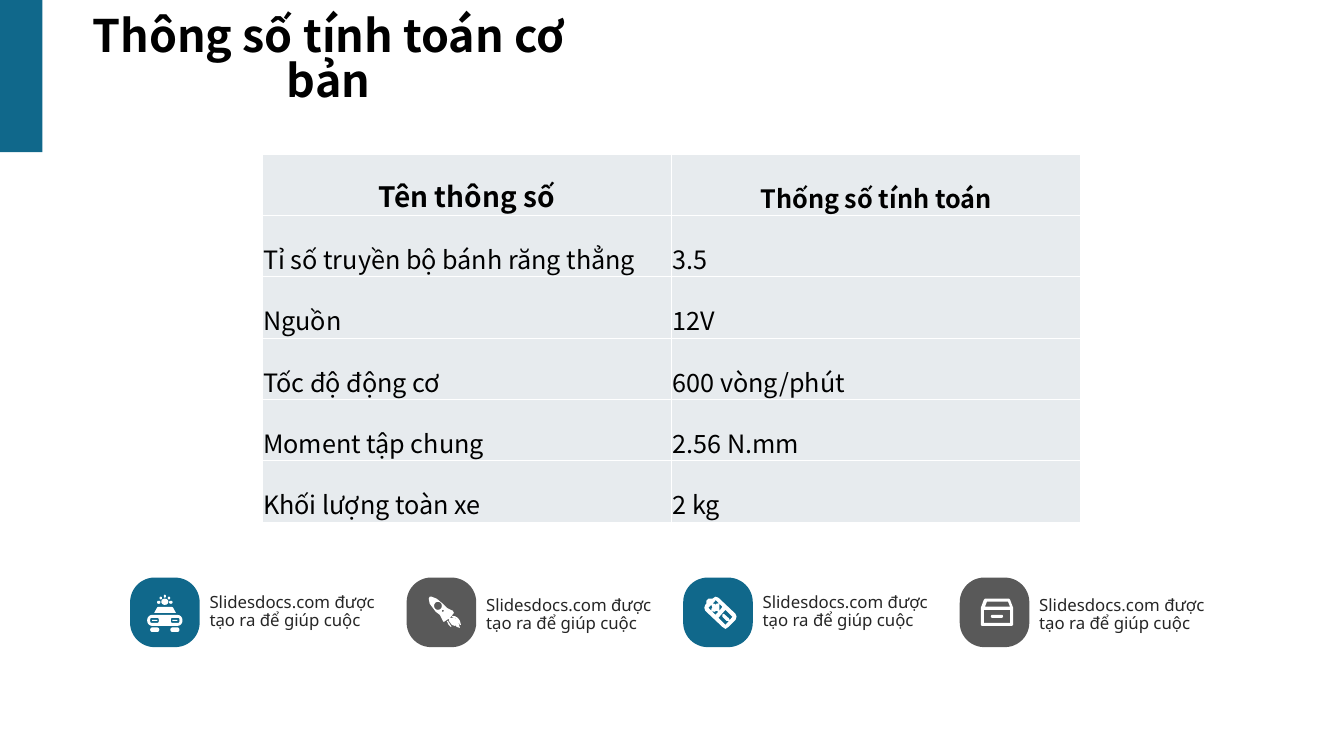
import math
from lxml import etree
from pptx import Presentation
from pptx import util as u
from pptx.dml.color import RGBColor
from pptx.enum import shapes, text
from pptx.oxml import ns

TEAL = RGBColor(0x10, 0x68, 0x8B)
GREY = RGBColor(0x59, 0x59, 0x59)
WHITE = RGBColor(0xFF, 0xFF, 0xFF)
BLACK = RGBColor(0, 0, 0)
INK = RGBColor(0x26, 0x26, 0x26)
CELL = RGBColor(0xE7, 0xEB, 0xEE)
HEADING_FONT = "Noto Sans CJK SC"
BODY_FONT = "Noto Sans"

PARAMETERS = [
    ("Tên thông số", "Thống số tính toán"),
    ("Tỉ số truyền bộ bánh răng thẳng", "3.5"),
    ("Nguồn", "12V"),
    ("Tốc độ động cơ", "600 vòng/phút"),
    ("Moment tập chung", "2.56 N.mm"),
    ("Khối lượng toàn xe", "2 kg"),
]
FEATURE_TEXT = "Slidesdocs.com được tạo ra để giúp cuộc"


def rounded(left, top, width, height, radius=0):
    if not radius:
        return [(left, top), (left + width, top),
                (left + width, top + height), (left, top + height)]
    points = []
    corners = [(left + width - radius, top + height - radius),
               (left + radius, top + height - radius),
               (left + radius, top + radius),
               (left + width - radius, top + radius)]
    for quarter, (x, y) in enumerate(corners):
        for step in range(5):
            angle = math.radians(90 * quarter + 22.5 * step)
            points.append((x + radius * math.cos(angle), y + radius * math.sin(angle)))
    return points


CAR = [
    rounded(17, 37, 35, 11, 5),
    *[rounded(x, 40, 8.5, 5, 1.5) for x in (20, 40.5)],
    *[rounded(x, 42, 5, 1) for x in (22, 42)],
    *[rounded(x, 49.5, 9, 4.5, 2) for x in (20, 40)],
    [(24, 35), (27, 29.5), (28.5, 29), (41, 29), (42.5, 29.5), (45.5, 35)],
    rounded(31, 21, 7, 6, 3),
    *[rounded(x, 23, 3.4, 3, 1.5) for x in (26.8, 38.8)],
    *[rounded(x, 19, 2.4, 2.6, 1) for x in (29.3, 37.4)],
    rounded(33.5, 17, 2, 3, 1),
]
ROCKET = [
    [(25, 19), (30, 21), (36, 26), (40, 30), (46, 33), (47, 35),
     (43, 40), (37, 44), (36, 43), (33, 37), (29, 34), (23, 26), (22, 21), (23, 19)],
    rounded(27.3, 24, 7.7, 8, 3.8),
    rounded(35, 32, 2, 2, 1),
    [(43, 40), (46, 40), (49, 40), (51, 43), (53, 50), (50, 49), (48, 47),
     (48, 48), (45, 47), (42, 43), (42, 41)],
    [(45, 38), (48, 38.3), (51, 40), (53, 43), (54, 47), (53, 47), (50, 41), (45, 39)],
    [(40, 43), (41, 43), (44.5, 48.5), (44, 49), (41.5, 46.5)],
]
BANDAGE = [
    [(32, 19), (35, 20), (52, 36), (53, 39), (52, 42), (45, 49), (42, 51),
     (39, 49), (22, 33), (21, 30), (22, 27), (23, 26), (23, 23), (25, 21), (29, 21)],
    [(42, 32), (49, 39), (42, 47), (35, 40)],
    [(39, 37), (40, 36), (41, 36.5), (45.5, 40.5), (46, 42), (45, 43), (43, 43), (39, 39)],
    [(28, 27), (25, 30), (28, 33), (28, 31), (29, 30)],
    [(31, 21), (32, 23), (29, 26), (31, 26), (32, 27), (33, 26), (36, 25.5),
     (36, 29), (36, 33), (39, 29), (33, 23)],
    [(28, 33), (32, 37), (35, 34), (33, 33), (31, 34)],
]
DRAWER = [
    [(24, 22), (25, 21), (49, 21), (50, 22), (53, 30), (53, 47), (52, 48),
     (22, 48), (21, 47), (21, 30)],
    [(27, 24), (48, 24), (50, 29), (25, 29)],
    rounded(24, 32, 26, 13),
    rounded(31, 37, 12, 3, 1.4),
]
FEATURES = [(CAR, TEAL, 0.11), (ROCKET, GREY, 0.14),
            (BANDAGE, TEAL, 0.11), (DRAWER, GREY, 0.14)]


def write(frame, content, size, font=HEADING_FONT, color=BLACK, bold=False,
          align=text.PP_ALIGN.LEFT, spacing=None):
    frame.word_wrap = True
    paragraph = frame.paragraphs[0]
    paragraph.alignment = align
    paragraph.line_spacing = spacing
    run = paragraph.add_run()
    run.text = content
    run.font.name = font
    run.font.size = u.Pt(size)
    run.font.bold = bold
    run.font.color.rgb = color


def paint(shape, color):
    shape.shadow.inherit = False
    shape.fill.solid()
    shape.fill.fore_color.rgb = color
    shape.line.fill.background()


def add_title(slide, left, top, width, height):
    title = slide.shapes.title
    title.left, title.top = u.Inches(left), u.Inches(top)
    title.width, title.height = u.Inches(width), u.Inches(height)
    title.text_frame.auto_size = text.MSO_AUTO_SIZE.NONE
    title.text_frame.vertical_anchor = text.MSO_ANCHOR.MIDDLE
    write(title.text_frame, "Thông số tính toán cơ bản", 32, bold=True,
          align=text.PP_ALIGN.CENTER, spacing=0.83)


def add_accent(slide, left, top, width, height):
    bar = slide.shapes.add_shape(shapes.MSO_SHAPE.RECTANGLE, u.Inches(left),
                                 u.Inches(top), u.Inches(width), u.Inches(height))
    paint(bar, TEAL)


def add_borders(cell):
    properties = cell._tc.get_or_add_tcPr()
    for side in ("lnL", "lnR", "lnT", "lnB"):
        line = etree.SubElement(properties, ns.qn(f"a:{side}"), w=str(u.Pt(1)))
        fill = etree.SubElement(line, ns.qn("a:solidFill"))
        etree.SubElement(fill, ns.qn("a:srgbClr"), val=str(WHITE))


def add_parameters(slide, left, top, width, height):
    table = slide.shapes.add_table(len(PARAMETERS), 2, u.Inches(left), u.Inches(top),
                                   u.Inches(width), u.Inches(height)).table
    table.horz_banding = False
    for row, values in enumerate(PARAMETERS):
        header = row == 0
        for column, value in enumerate(values):
            cell = table.cell(row, column)
            add_borders(cell)
            cell.fill.solid()
            cell.fill.fore_color.rgb = CELL
            cell.vertical_anchor = text.MSO_ANCHOR.BOTTOM
            cell.margin_left = cell.margin_right = cell.margin_top = u.Inches(0.01)
            cell.margin_bottom = 0
            write(cell.text_frame, value, 20 if header and column == 0 else 18, bold=header,
                  align=text.PP_ALIGN.CENTER if header else text.PP_ALIGN.LEFT)


def add_icon(group, contours, left, top):
    scaled = [[(x * 10, y * 10) for x, y in contour] for contour in contours]
    builder = group.shapes.build_freeform(*scaled[0][0], scale=u.Inches(0.001))
    for contour in scaled:
        builder.move_to(*contour[0])
        builder.add_line_segments(contour[1:], close=True)
    paint(builder.convert_to_shape(u.Inches(left), u.Inches(top)), WHITE)


def add_feature(slide, left, top, size, contours, color, label_drop):
    group = slide.shapes.add_group_shape()
    tile = group.shapes.add_shape(shapes.MSO_SHAPE.ROUNDED_RECTANGLE, u.Inches(left),
                                  u.Inches(top), u.Inches(size), u.Inches(size))
    tile.adjustments[0] = 0.353
    paint(tile, color)
    add_icon(group, contours, left, top)
    label = slide.shapes.add_textbox(u.Inches(left + size), u.Inches(top + label_drop),
                                     u.Inches(1.9), u.Inches(0.5))
    write(label.text_frame, FEATURE_TEXT, 12, font=BODY_FONT, color=INK, spacing=0.9)


def main():
    presentation = Presentation()
    presentation.slide_width, presentation.slide_height = u.Inches(13.33), u.Inches(7.5)
    slide = presentation.slides.add_slide(presentation.slide_layouts[5])
    add_accent(slide, 0, 0, 0.42, 1.51)
    add_title(slide, 0.56, 0.11, 5.4, 1)
    add_parameters(slide, 2.6, 1.53, 8.12, 3.65)
    for index, feature in enumerate(FEATURES):
        add_feature(slide, 1.29 + 2.743 * index, 5.73, 0.69, *feature)
    presentation.save("out.pptx")


if __name__ == "__main__":
    main()
